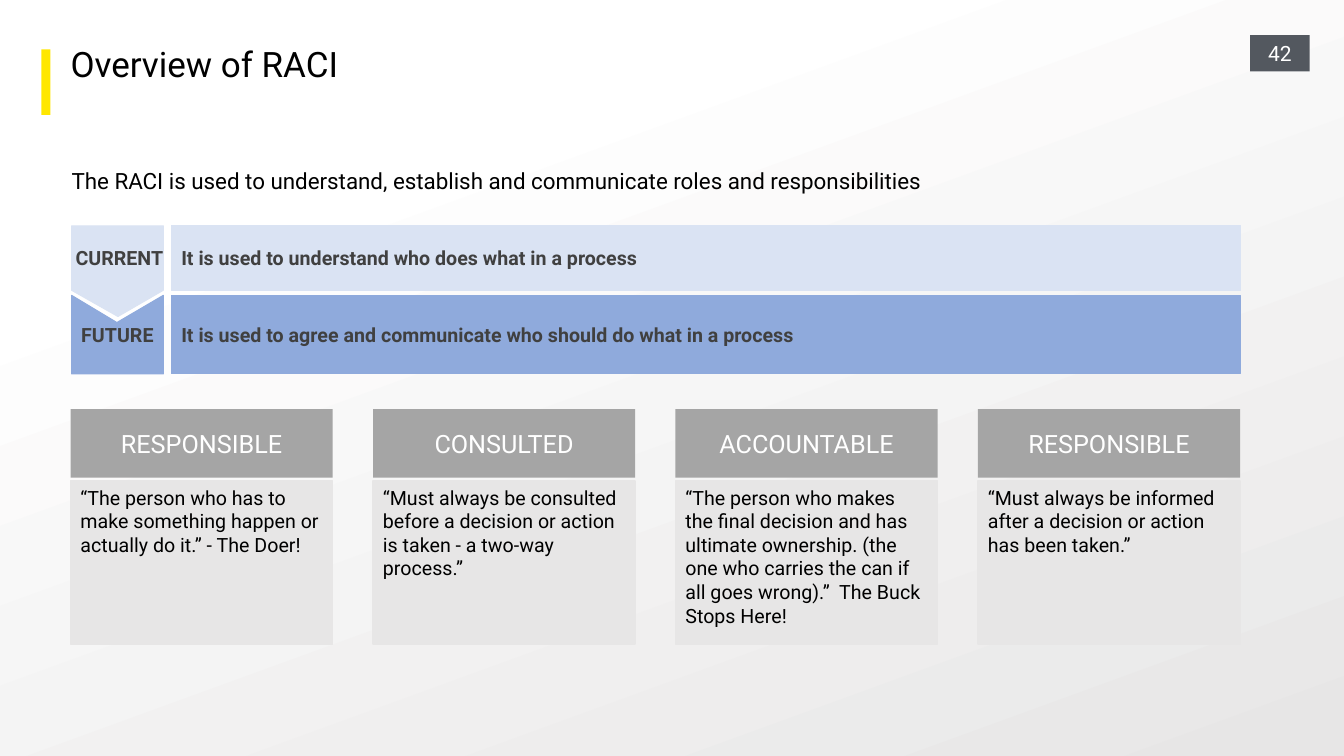
from pptx import Presentation
from pptx.dml.color import RGBColor
from pptx.enum.shapes import MSO_SHAPE as SHAPE
from pptx.enum.text import MSO_ANCHOR as ANCHOR, MSO_AUTO_SIZE as AUTO, PP_ALIGN as ALIGN
from pptx.util import Inches, Pt

BLACK = RGBColor(0x00, 0x00, 0x00)
WHITE = RGBColor(0xFF, 0xFF, 0xFF)
YELLOW = RGBColor(0xFF, 0xE7, 0x00)
SLATE = RGBColor(0x53, 0x58, 0x5F)
CHARCOAL = RGBColor(0x40, 0x40, 0x40)
GREY = RGBColor(0xA5, 0xA5, 0xA5)
PALE_GREY = RGBColor(0xE7, 0xE6, 0xE6)
PALE_BLUE = RGBColor(0xDA, 0xE3, 0xF3)
BLUE = RGBColor(0x8F, 0xAA, 0xDC)

LEFT = 7            # content margin, in columns
CARD, PITCH = 26, 30

ROLES = [
    ("RESPONSIBLE", "“The person who has to make something happen or actually do it.” - The Doer!"),
    ("CONSULTED", "“Must always be consulted before a decision or action is taken - a two-way process.”"),
    ("ACCOUNTABLE", "“The person who makes the final decision and has ultimate ownership. "
                    "(the one who carries the can if all goes wrong).”  The Buck Stops Here!"),
    ("RESPONSIBLE", "“Must always be informed after a decision or action has been taken.”"),
]

STAGES = [
    ("CURRENT", "It is used to understand who does what in a process", PALE_BLUE, 22.4, 6.4,
     [(7.1, 22.4), (16.2, 22.4), (16.2, 28.8), (11.7, 31.4), (7.1, 28.8)],
     ANCHOR.TOP, (0.4, 2, 0, 0)),
    ("FUTURE", "It is used to agree and communicate who should do what in a process", BLUE, 29.3, 7.8,
     [(7.1, 29.3), (11.6, 32), (16.2, 29.3), (16.2, 37.1), (7.1, 37.1)],
     ANCHOR.MIDDLE, (0, 0.4, 0, 0.4)),
]


class RaciSlide:
    """Draws on one slide; lengths are columns and rows of a 0.1 inch grid."""
    font = "Roboto"
    cell = Inches(0.1)

    def __init__(self, prs):
        self.slide = prs.slides.add_slide(prs.slide_layouts[5])

    def grid(self, *lengths):
        return [round(n * self.cell) for n in lengths]

    def background(self, start, end, angle):
        fill = self.slide.background.fill
        fill.gradient()
        fill.gradient_angle = angle
        for stop, (position, color) in zip(fill.gradient_stops, (start, end)):
            stop.position = position
            stop.color.rgb = color

    def label(self, sp, text, size, color, bold=False, align=ALIGN.LEFT,
              anchor=ANCHOR.TOP, insets=(1, 0.5, 1, 0.5), wrap=True):
        """Put one styled run in a shape and return its paragraph."""
        tf = sp.text_frame
        tf.auto_size = AUTO.NONE
        tf.word_wrap = wrap
        tf.vertical_anchor = anchor
        tf.margin_left, tf.margin_top, tf.margin_right, tf.margin_bottom = self.grid(*insets)
        p = tf.paragraphs[0]
        p.alignment = align
        r = p.add_run()
        r.text = text
        r.font.name, r.font.size, r.font.bold = self.font, Pt(size), bold
        r.font.color.rgb = color
        return p

    def paint(self, sp, fill, line_width=0):
        sp.shadow.inherit = False
        sp.fill.solid()
        sp.fill.fore_color.rgb = fill
        if line_width:
            sp.line.color.rgb = fill
            sp.line.width = Pt(line_width)
        else:
            sp.line.fill.background()
        return sp

    def title(self, text, *box):
        sp = self.slide.shapes.title
        sp.left, sp.top, sp.width, sp.height = self.grid(*box)
        self.label(sp, text, 25, BLACK, insets=(0, 0, 0, 0)).line_spacing = 0.85

    def text(self, text, size, *box):
        sp = self.slide.shapes.add_textbox(*self.grid(*box))
        self.label(sp, text, size, BLACK, insets=(0, 0, 0, 0))

    def rect(self, box, fill, line_width=0):
        sp = self.slide.shapes.add_shape(SHAPE.RECTANGLE, *self.grid(*box))
        return self.paint(sp, fill, line_width)

    def outline(self, points, fill, line_width):
        start, *others = [self.grid(*point) for point in points]
        builder = self.slide.shapes.build_freeform(*start)
        builder.add_line_segments(others, close=True)
        return self.paint(builder.convert_to_shape(), fill, line_width)

    def stage(self, name, purpose, fill, top, height, points, anchor, insets):
        bar = self.rect((17, top, 106, height), fill, 0.75)
        self.label(bar, purpose, 14, CHARCOAL, True, anchor=ANCHOR.MIDDLE)
        arrow = self.outline(points, fill, 0.75)
        self.label(arrow, name, 14, CHARCOAL, True, ALIGN.CENTER, anchor, insets, wrap=False)

    def card(self, left, role, quote):
        header = self.rect((left, 40.6, CARD, 6.8), GREY)
        self.label(header, role, 18, WHITE, align=ALIGN.CENTER, anchor=ANCHOR.MIDDLE)
        body = self.rect((left, 47.7, CARD, 16.2), PALE_GREY, 1)
        self.label(body, quote, 14, BLACK)


def main():
    prs = Presentation()
    prs.slide_width, prs.slide_height = Inches(13.33), Inches(7.5)
    s = RaciSlide(prs)

    s.background((0.23, WHITE), (1, PALE_GREY), 290)
    page = s.rect((124, 3.5, 5.9, 3.6), SLATE)
    s.label(page, "42", 15, WHITE, align=ALIGN.CENTER, anchor=ANCHOR.MIDDLE, insets=(0.6,) * 4)
    s.rect((4.1, 4.9, 0.9, 6.5), YELLOW)

    s.title("Overview of RACI", LEFT, 4.9, 117.1, 6.4)
    s.text("The RACI is used to understand, establish and communicate roles and responsibilities",
           16, 7.1, 16.6, 119.6, 3)
    for stage in STAGES:
        s.stage(*stage)
    for i, (role, quote) in enumerate(ROLES):
        s.card(LEFT + i * PITCH, role, quote)

    prs.save("out.pptx")


if __name__ == "__main__":
    main()
